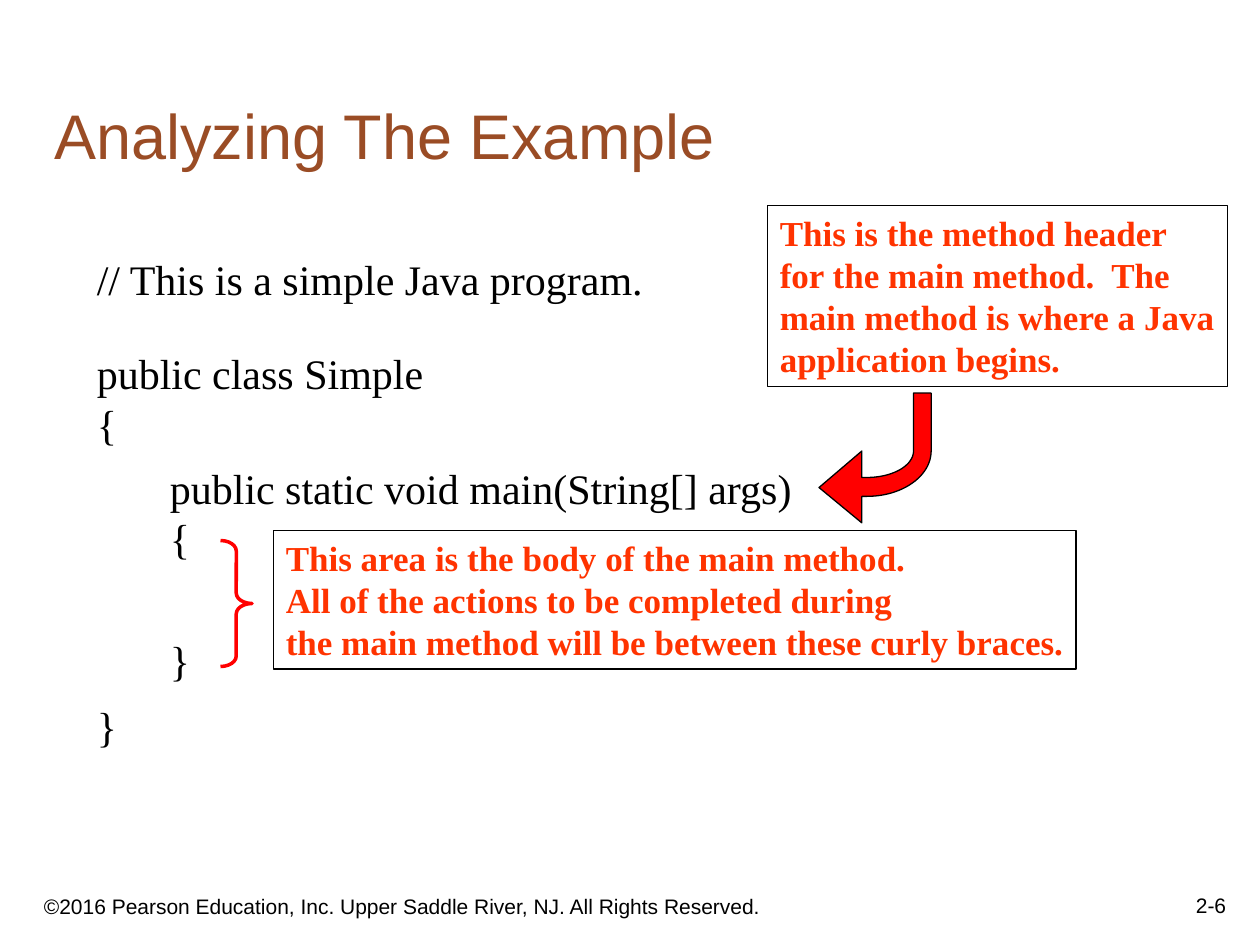
from math import cos, pi, sin

from pptx import Presentation
from pptx.dml.color import RGBColor
from pptx.enum.shapes import MSO_SHAPE as Shape
from pptx.enum.text import MSO_ANCHOR as Anchor, PP_ALIGN as Align
from pptx.util import Inches, Pt

BLACK = RGBColor(0, 0, 0)
BROWN = RGBColor(0x9A, 0x4C, 0x25)
ORANGE = RGBColor(0xFF, 0x33, 0x00)
RED = RGBColor(0xFF, 0, 0)
SANS, SERIF = "Arial", "Times New Roman"
LEAD = 1.2  # line pitch over text size


def style(part, font, size, color, bold=False):
    for run in part.runs:
        run.font.name = font
        run.font.size = Pt(size)
        run.font.color.rgb = color
        run.font.bold = bold


def fill_lines(frame, lines, size, color, bold=False):
    frame.word_wrap = False
    frame.text = "\n".join(lines)
    for part in frame.paragraphs:
        part.alignment = Align.LEFT
        part.line_spacing = Pt(LEAD * size)
        style(part, SERIF, size, color, bold)


def add_title(slide, box, text):
    title = slide.shapes.title
    title.left, title.top, title.width, title.height = map(Inches, box)
    frame = title.text_frame
    frame.text = text
    frame.vertical_anchor = Anchor.BOTTOM
    frame.paragraphs[0].alignment = Align.LEFT
    style(frame.paragraphs[0], SANS, 36, BROWN)


def add_footer(slide, box, text, align):
    frame = slide.shapes.add_textbox(*map(Inches, box)).text_frame
    frame.word_wrap = True
    frame.vertical_anchor = Anchor.BOTTOM
    frame.text = text
    frame.paragraphs[0].alignment = align
    style(frame.paragraphs[0], SANS, 12, BLACK)


def add_code(slide, box, lines, gap=0):
    """Code lines, with a gap in points before the closing brace."""
    frame = slide.shapes.add_textbox(*map(Inches, box)).text_frame
    fill_lines(frame, lines, 24, BLACK)
    if gap:
        frame.paragraphs[-1].space_before = Pt(gap)


def add_note(slide, box, lines):
    note = slide.shapes.add_shape(Shape.RECTANGLE, *map(Inches, box))
    note.shadow.inherit = False
    note.fill.background()
    note.line.color.rgb = BLACK
    note.line.width = Pt(0.75)
    note.text_frame.vertical_anchor = Anchor.TOP
    fill_lines(note.text_frame, lines, 20, ORANGE, bold=True)


def add_brace(slide, box):
    brace = slide.shapes.add_shape(Shape.RIGHT_BRACE, *map(Inches, box))
    brace.shadow.inherit = False
    brace.adjustments[0] = 0.33
    brace.fill.background()
    brace.line.color.rgb = RED
    brace.line.width = Pt(2)


def add_arrow(slide, box):
    """Arrow that comes down on the right and bends to the left."""
    left, top, wide, high = box
    neck, bend, start = 0.34, 0.38, 0.46  # head length, arc centre
    steps = [pi / 2 * i / 24 for i in range(25)]

    def arc(rx, ry):
        return [(bend + rx * cos(a), start + ry * sin(a)) for a in steps]

    outer = arc(wide - bend, 0.36)
    inner = arc(wide - bend - 0.14, 0.21)
    points = [(0, 0.75), (neck, high), (neck, 0.82), *reversed(outer),
              (wide, 0), (wide - 0.14, 0), *inner, (neck, 0.67), (neck, 0.46)]
    spots = [(Inches(left + x), Inches(top + y)) for x, y in points]
    path = slide.shapes.build_freeform(*spots[0])
    path.add_line_segments(spots[1:], close=True)
    arrow = path.convert_to_shape()
    arrow.shadow.inherit = False
    arrow.fill.solid()
    arrow.fill.fore_color.rgb = RED
    arrow.line.color.rgb = BLACK
    arrow.line.width = Pt(0.75)


def main():
    deck = Presentation()
    deck.slide_width, deck.slide_height = Inches(10), Inches(7.5)
    slide = deck.slides.add_slide(deck.slide_layouts[5])

    # Footer and title
    add_footer(slide, (0.25, 6.92, 6.08, 0.42),
               "©2016 Pearson Education, Inc. Upper Saddle River, NJ. "
               "All Rights Reserved.", Align.LEFT)
    add_footer(slide, (7.75, 6.83, 2.08, 0.5), "2-6", Align.RIGHT)
    add_title(slide, (0.33, 0.33, 9.42, 1.09), "Analyzing The Example")

    # Program
    add_code(slide, (0.67, 1.96, 4.54, 0.5),
             ["// This is a simple Java program."])
    add_code(slide, (0.67, 2.71, 3.25, 3.3),
             ["public class Simple", "{", "}"], gap=144)
    add_code(slide, (1.25, 3.62, 5.14, 2.35),
             ["public static void main(String[] args)", "{", "}"], gap=41)

    # Method body
    add_note(slide, (2.17, 4.21, 6.37, 1.1),
             ["This area is the body of the main method.",
              "All of the actions to be completed during",
              "the main method will be between these curly braces."])
    add_brace(slide, (1.75, 4.29, 0.25, 1))

    # Method header
    add_note(slide, (6.09, 1.63, 3.65, 1.44),
             ["This is the method header", "for the main method.  The",
              "main method is where a Java", "application begins."])
    add_arrow(slide, (6.5, 3.12, 0.89, 1.03))

    deck.save("out.pptx")


if __name__ == "__main__":
    main()
